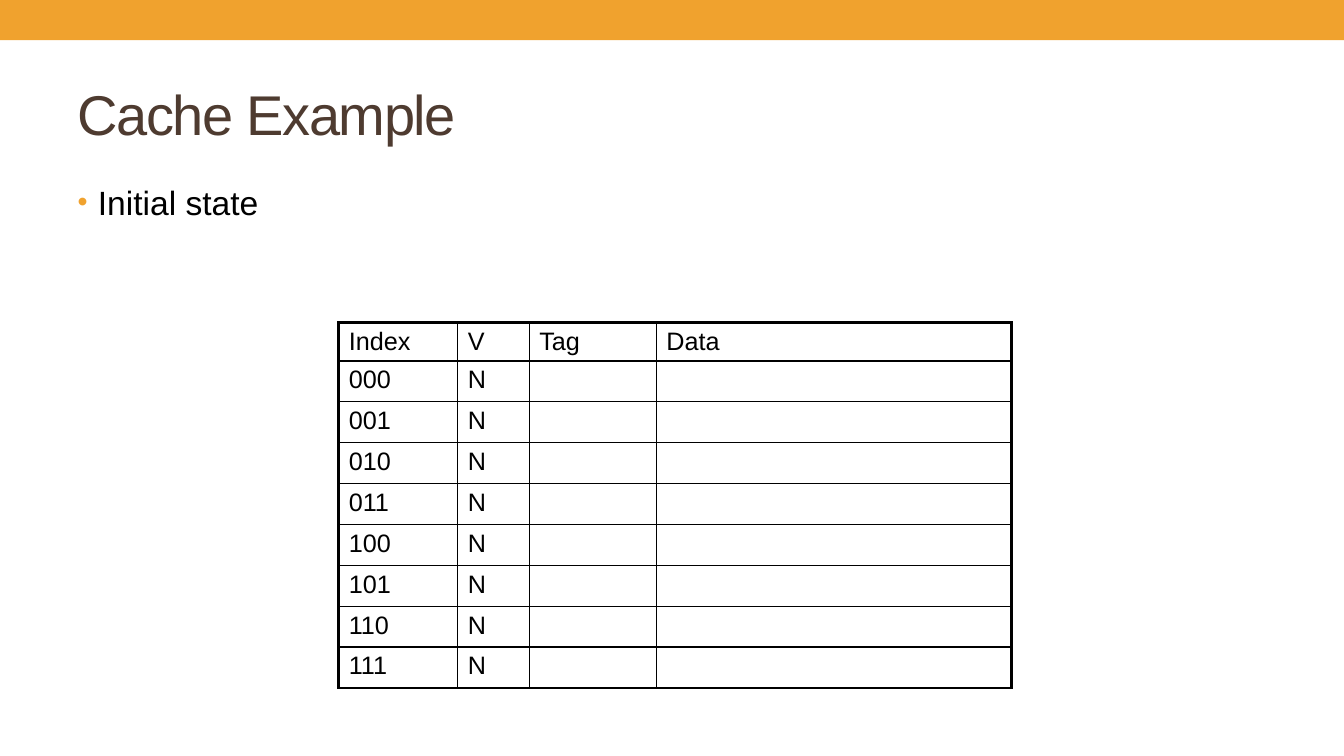
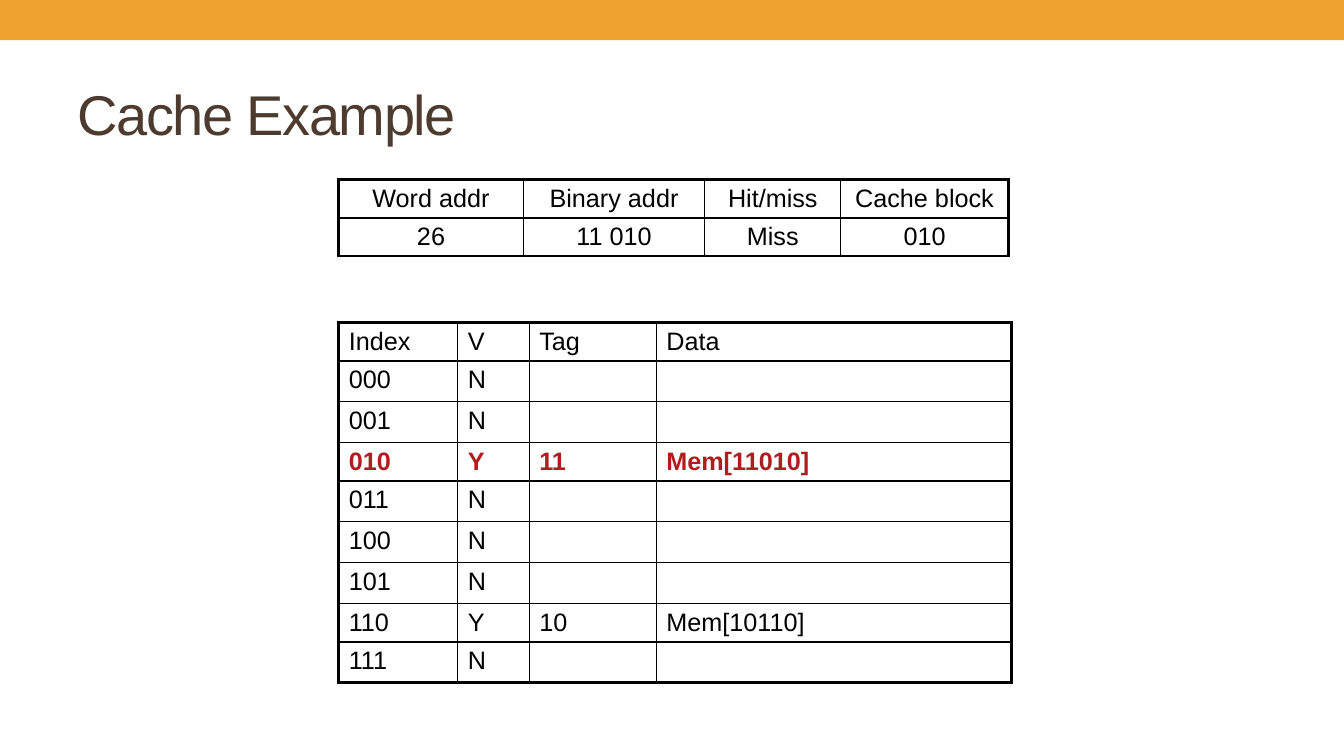
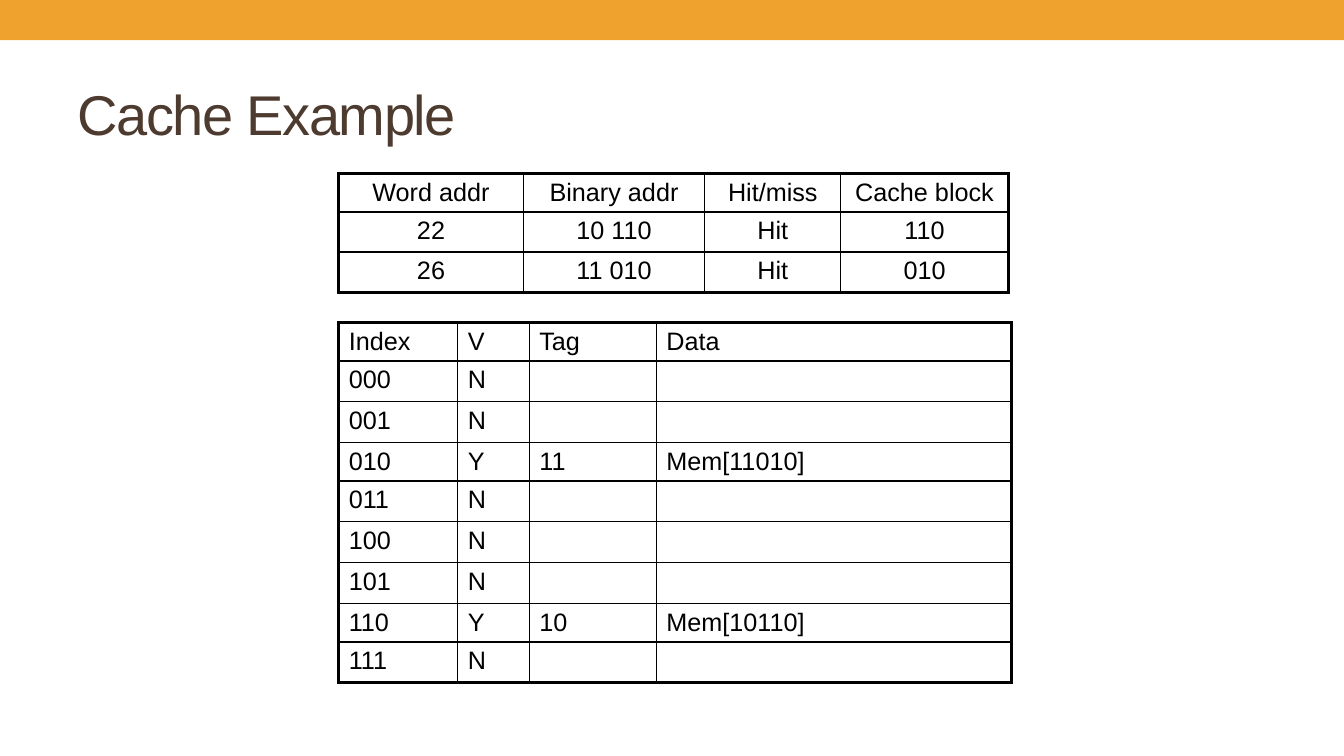
"""Build three slides that walk through a direct-mapped cache example."""
from lxml.etree import SubElement
from pptx import Presentation
from pptx.dml.color import RGBColor
from pptx.enum.shapes import MSO_SHAPE as SHAPE
from pptx.enum.text import MSO_ANCHOR as ANCHOR, MSO_AUTO_SIZE as FIT, PP_ALIGN as ALIGN
from pptx.oxml.ns import qn
from pptx.util import Inches, Pt

FONT = "Arial"
ORANGE = RGBColor(0xF0, 0xA2, 0x2E)
BROWN = RGBColor(0x4E, 0x3B, 0x30)
RED = RGBColor(0xAD, 0x1F, 0x1F)
BLACK = RGBColor(0, 0, 0)

TITLE = "Cache Example"
CONTENT_LAYOUT, TITLE_ONLY_LAYOUT = 1, 5
TABLE_LEFT, CACHE_TOP, ROW_HEIGHT = 3.36, 3.2, 0.38
CACHE_HEADER = ("Index", "V", "Tag", "Data")
CACHE_COLS = (1.18, 0.71, 1.26, 3.52)
TRACE_HEADER = ("Word addr", "Binary addr", "Hit/miss", "Cache block")
TRACE_COLS = (1.83, 1.8, 1.35, 1.66)
OUTER, RULE, INNER = 2.25, 1.5, 1

FILLED = {"010": ("11", "Mem[11010]"), "110": ("10", "Mem[10110]")}
STEPS = [
    {"bullet": "Initial state", "cache": {}},
    {"cache": FILLED, "changed": "010", "trace_top": 1.78, "trace_row": 0.38,
     "trace": [("26", "11 010", "Miss", "010")]},
    {"cache": FILLED, "trace_top": 1.72, "trace_row": 0.4,
     "trace": [("22", "10 110", "Hit", "110"), ("26", "11 010", "Hit", "010")]},
]


def add_run(p, text, size, color, bold=False):
    r = p.add_run()
    r.text = text
    r.font.name, r.font.size, r.font.bold = FONT, Pt(size), bold
    r.font.color.rgb = color
    return r


def place(sp, left, top, width, height):
    sp.left, sp.top, sp.width, sp.height = map(Inches, (left, top, width, height))


def add_band(prs, slide):
    band = slide.shapes.add_shape(SHAPE.RECTANGLE, 0, 0, prs.slide_width, Inches(0.4))
    band.shadow.inherit = False
    band.fill.solid()
    band.fill.fore_color.rgb = ORANGE
    band.line.fill.background()
    prs.slide_master.shapes.element.insert(2, band.element)


def add_title(slide):
    sp = slide.shapes.title
    place(sp, 0.67, 0.58, 12, 1.08)
    tf = sp.text_frame
    tf.vertical_anchor, tf.auto_size = ANCHOR.MIDDLE, FIT.NONE
    p = tf.paragraphs[0]
    p.alignment = ALIGN.LEFT
    r = add_run(p, TITLE, 40, BROWN)
    r.font.element.set("spc", "-100") if hasattr(r.font, "element") else r._r.get_or_add_rPr().set("spc", "-100")


def add_bullet(slide, text):
    sp = slide.placeholders[1]
    place(sp, 0.67, 1.75, 12, 5.33)
    tf = sp.text_frame
    tf.auto_size = FIT.NONE
    p = tf.paragraphs[0]
    add_run(p, text, 24, BLACK)
    pPr = p._p.get_or_add_pPr()
    pPr.set("marL", str(Inches(0.2)))
    pPr.set("indent", str(-Inches(0.2)))
    SubElement(SubElement(pPr, qn("a:buClr")), qn("a:srgbClr"), val=str(ORANGE))
    SubElement(pPr, qn("a:buSzPct"), val="85000")
    SubElement(pPr, qn("a:buFont"), typeface=FONT)
    SubElement(pPr, qn("a:buChar"), char="•")


def set_borders(cell, widths):
    tcPr = cell._tc.get_or_add_tcPr()
    for side, width in zip("LRTB", widths):
        ln = SubElement(tcPr, qn(f"a:ln{side}"), w=str(Pt(width)))
        SubElement(SubElement(ln, qn("a:solidFill")), qn("a:srgbClr"), val=str(BLACK))


def add_grid(slide, top, cols, rows, row_height, rule, align, changed=None):
    n_rows, n_cols = len(rows), len(cols)
    height = ROW_HEIGHT + row_height * (n_rows - 1)
    frame = slide.shapes.add_table(n_rows, n_cols, Inches(TABLE_LEFT), Inches(top),
                                   Inches(sum(cols)), Inches(height))
    table = frame.table
    table.first_row = table.horz_banding = False
    for col, width in zip(table.columns, cols):
        col.width = Inches(width)
    across = [OUTER] + [INNER] * (n_cols - 1) + [OUTER]
    down = [OUTER, RULE] + [rule] * (n_rows - 2) + [OUTER]
    for i, row in enumerate(rows):
        table.rows[i].height = Inches(row_height if i else ROW_HEIGHT)
        marked = row[0] == changed
        for j, text in enumerate(row):
            cell = table.cell(i, j)
            set_borders(cell, across[j:j + 2] + down[i:i + 2])
            cell.fill.background()
            p = cell.text_frame.paragraphs[0]
            p.alignment = align
            if text:
                add_run(p, text, 18, RED if marked else BLACK, marked)


def cache_rows(entries):
    rows = [CACHE_HEADER]
    for n in range(8):
        index = f"{n:03b}"
        valid = "Y" if index in entries else "N"
        rows.append((index, valid, *entries.get(index, ("", ""))))
    return rows


def main():
    prs = Presentation()
    prs.slide_width, prs.slide_height = Inches(13.33), Inches(7.5)
    for n, step in enumerate(STEPS):
        layout = CONTENT_LAYOUT if "bullet" in step else TITLE_ONLY_LAYOUT
        slide = prs.slides.add_slide(prs.slide_layouts[layout])
        if n == 0:
            add_band(prs, slide)
        add_title(slide)
        if "bullet" in step:
            add_bullet(slide, step["bullet"])
        add_grid(slide, CACHE_TOP, CACHE_COLS, cache_rows(step["cache"]), ROW_HEIGHT,
                 INNER, ALIGN.LEFT, step.get("changed"))
        if "trace" in step:
            add_grid(slide, step["trace_top"], TRACE_COLS, [TRACE_HEADER, *step["trace"]],
                     step["trace_row"], RULE, ALIGN.CENTER)
    prs.save("out.pptx")


if __name__ == "__main__":
    main()
